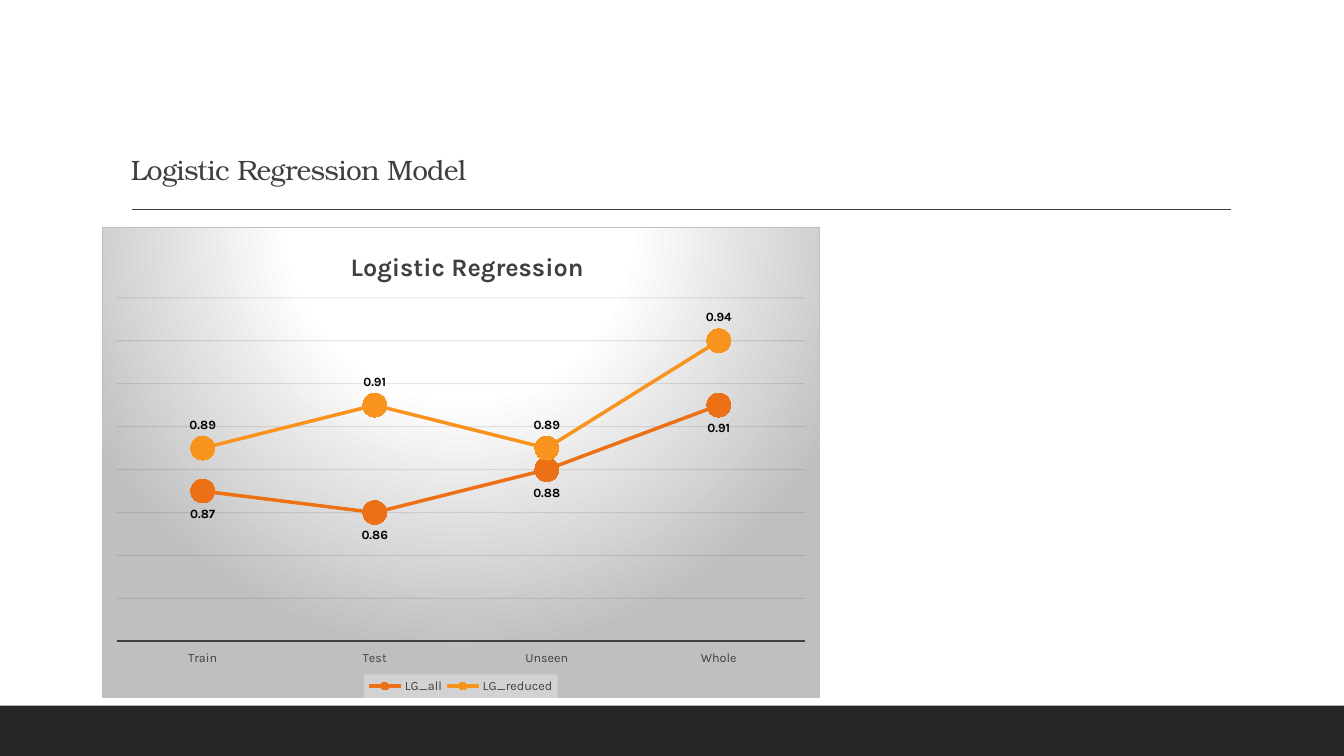
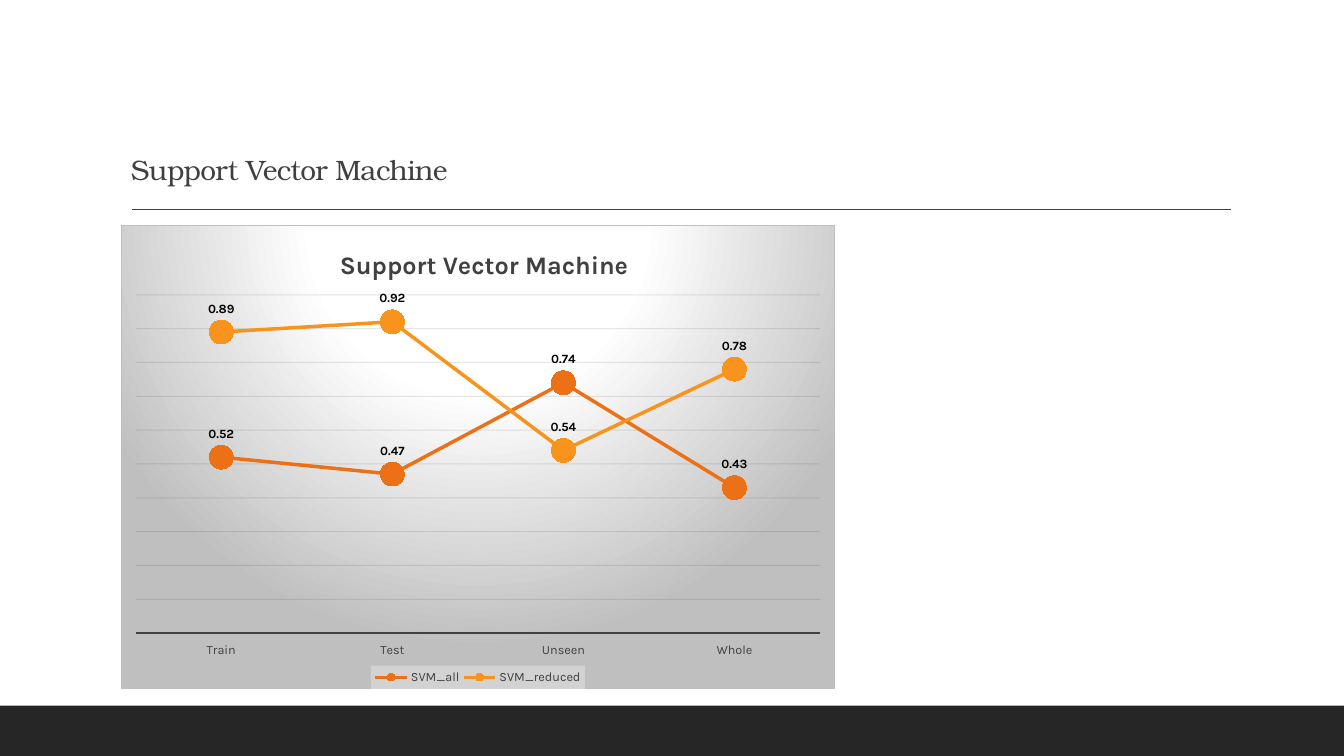
"""Build two slides that compare model scores in line charts."""

from dataclasses import dataclass

from lxml.etree import SubElement
from pptx import Presentation
from pptx.chart.chart import Chart
from pptx.chart.data import CategoryChartData
from pptx.dml.color import RGBColor
from pptx.enum.chart import (
    XL_CHART_TYPE,
    XL_LABEL_POSITION,
    XL_LEGEND_POSITION,
    XL_MARKER_STYLE,
    XL_TICK_LABEL_POSITION,
    XL_TICK_MARK,
)
from pptx.enum.shapes import MSO_CONNECTOR, MSO_SHAPE
from pptx.enum.text import MSO_ANCHOR
from pptx.oxml import parse_xml
from pptx.oxml.ns import nsdecls, qn
from pptx.oxml.xmlchemy import BaseOxmlElement
from pptx.slide import Slide
from pptx.text.text import Font
from pptx.util import Inches, Pt


@dataclass(frozen=True)
class Theme:
    """Colours, fonts and type sizes shared by the slides."""

    band: str = "262626"
    ink: str = "404040"
    label: str = "000000"
    grid: str = "0D0D0D"
    border: str = "BFBFBF"
    glow: str = "FFFFFF"
    legend: str = "F2F2F2"
    series: tuple[str, ...] = ("EC7016", "F8931D")
    heading_font: str = "TeX Gyre Bonum"
    chart_font: str = "Karla"
    heading_size: int = 20
    chart_title_size: int = 18
    chart_size: int = 10
    small_size: int = 9


@dataclass(frozen=True)
class ScoreSeries:
    """One line of scores and the side its labels sit on."""

    name: str
    scores: tuple[float, ...]
    label_position: XL_LABEL_POSITION = XL_LABEL_POSITION.ABOVE


@dataclass(frozen=True)
class Box:
    """A left, top, width and height."""

    left: float
    top: float
    width: float
    height: float


@dataclass(frozen=True)
class ModelSlide:
    """The content of one slide."""

    heading: str
    chart_title: str
    chart_box: Box
    scale: tuple[float, float, float]
    title_width: float
    legend_width: float
    series: tuple[ScoreSeries, ...]


THEME = Theme()
SLIDE_WIDTH, SLIDE_HEIGHT = 13.33, 7.5
STAGES = ("Train", "Test", "Unseen", "Whole")
PLOT_BOX = Box(0.02, 0.15, 0.96, 0.73)

MODEL_SLIDES = (
    ModelSlide(
        heading="Logistic Regression Model",
        chart_title="Logistic Regression",
        chart_box=Box(1.01, 2.25, 7.12, 4.68),
        scale=(0.8, 0.96, 0.02),
        title_width=0.32,
        legend_width=0.27,
        series=(
            ScoreSeries("LG_all", (0.87, 0.86, 0.88, 0.91), XL_LABEL_POSITION.BELOW),
            ScoreSeries("LG_reduced", (0.89, 0.91, 0.89, 0.94)),
        ),
    ),
    ModelSlide(
        heading="Support Vector Machine",
        chart_title="Support Vector Machine",
        chart_box=Box(1.2, 2.23, 7.08, 4.61),
        scale=(0, 1, 0.1),
        title_width=0.4,
        legend_width=0.3,
        series=(
            ScoreSeries("SVM_all", (0.52, 0.47, 0.74, 0.43)),
            ScoreSeries("SVM_reduced", (0.89, 0.92, 0.54, 0.78)),
        ),
    ),
)


def style_font(font: Font, name: str, size: int, color: str, bold: bool = False) -> None:
    """Set the face, size, colour and weight of a font."""
    font.name = name
    font.size = Pt(size)
    font.bold = bold
    font.color.rgb = RGBColor.from_string(color)


def add_frame(slide: Slide, heading: str) -> None:
    """Draw the footer band, the rule and the heading."""
    band = slide.shapes.add_shape(
        MSO_SHAPE.RECTANGLE, 0, Inches(7), Inches(SLIDE_WIDTH), Inches(0.5)
    )
    band.shadow.inherit = False
    band.fill.solid()
    band.fill.fore_color.rgb = RGBColor.from_string(THEME.band)
    band.line.fill.background()

    rule = slide.shapes.add_connector(
        MSO_CONNECTOR.STRAIGHT, Inches(1.31), Inches(2.08), Inches(12.21), Inches(2.08)
    )
    rule.line.color.rgb = RGBColor.from_string(THEME.ink)
    rule.line.width = Pt(1)
    SubElement(rule.element.find(qn("p:spPr")), qn("a:effectLst"))

    text_box = slide.shapes.add_textbox(Inches(1.2), Inches(0.31), Inches(11), Inches(1.59))
    text_frame = text_box.text_frame
    text_frame.word_wrap = True
    text_frame.vertical_anchor = MSO_ANCHOR.BOTTOM
    paragraph = text_frame.paragraphs[0]
    paragraph.line_spacing = 0.9
    run = paragraph.add_run()
    run.text = heading
    style_font(run.font, THEME.heading_font, THEME.heading_size, THEME.ink)
    run.font._element.set("spc", "-50")


def set_layout(parent: BaseOxmlElement, box: Box, inner: bool = False) -> None:
    """Place a chart part at fractions of the chart area."""
    for existing in parent.findall(qn("c:layout")):
        parent.remove(existing)
    target = '<c:layoutTarget val="inner"/>' if inner else ""
    layout = parse_xml(
        f'<c:layout {nsdecls("c")}><c:manualLayout>{target}'
        '<c:xMode val="edge"/><c:yMode val="edge"/>'
        f'<c:x val="{box.left:.3f}"/><c:y val="{box.top}"/>'
        f'<c:w val="{box.width}"/><c:h val="{box.height}"/>'
        "</c:manualLayout></c:layout>"
    )
    overlay = parent.find(qn("c:overlay"))
    if overlay is None:
        parent.insert(0, layout)
    else:
        overlay.addprevious(layout)


def centered_box(width: float, top: float, height: float) -> Box:
    """Return a box centred across the chart area."""
    return Box((1 - width) / 2, top, width, height)


def fill_chart_area(chart: Chart) -> None:
    """Give the chart area its radial gradient and border."""
    stops = "".join(
        f'<a:gs pos="{position * 1000}"><a:srgbClr val="{color}"/></a:gs>'
        for position, color in ((0, THEME.glow), (39, THEME.glow), (100, THEME.border))
    )
    properties = parse_xml(
        f'<c:spPr {nsdecls("c", "a")}><a:gradFill><a:gsLst>{stops}</a:gsLst>'
        '<a:path path="circle"><a:fillToRect l="50000" t="-80000" r="50000" b="180000"/></a:path>'
        f'</a:gradFill><a:ln w="{Pt(0.75)}"><a:solidFill><a:srgbClr val="{THEME.border}"/>'
        "</a:solidFill></a:ln></c:spPr>"
    )
    chart.element.find(qn("c:chart")).addnext(properties)


def style_axes(chart: Chart, scale: tuple[float, float, float]) -> None:
    """Style the category axis and the hidden value axis with its grid."""
    category_axis = chart.category_axis
    category_axis.major_tick_mark = XL_TICK_MARK.NONE
    category_axis.minor_tick_mark = XL_TICK_MARK.NONE
    category_axis.tick_label_position = XL_TICK_LABEL_POSITION.LOW
    category_axis.format.line.color.rgb = RGBColor.from_string(THEME.ink)
    category_axis.format.line.width = Pt(1.5)
    style_font(category_axis.tick_labels.font, THEME.chart_font, THEME.small_size, THEME.ink)

    value_axis = chart.value_axis
    value_axis.minimum_scale, value_axis.maximum_scale, value_axis.major_unit = scale
    value_axis.visible = False
    value_axis.tick_labels.number_format = "0.00"
    value_axis.tick_labels.number_format_is_linked = False
    grid_line = value_axis.major_gridlines.format.line
    grid_line.color.rgb = RGBColor.from_string(THEME.grid)
    grid_line.width = Pt(0.75)
    grid_color = chart.element.xpath(".//c:majorGridlines//a:srgbClr")[0]
    SubElement(grid_color, qn("a:alpha")).set("val", "10000")


def style_series(chart: Chart, score_series: tuple[ScoreSeries, ...]) -> None:
    """Colour the lines and markers and label each point."""
    plot = chart.plots[0]
    plot.vary_by_categories = False
    for series, content, hex_color in zip(plot.series, score_series, THEME.series):
        color = RGBColor.from_string(hex_color)
        series.smooth = False
        series.format.line.color.rgb = color
        series.format.line.width = Pt(2.5)
        marker = series.marker
        marker.style = XL_MARKER_STYLE.CIRCLE
        marker.size = 17
        marker.format.fill.solid()
        marker.format.fill.fore_color.rgb = color
        marker.format.line.fill.background()
        labels = series.data_labels
        labels.show_value = True
        labels.number_format = "0.00"
        labels.number_format_is_linked = False
        labels.position = content.label_position
        style_font(labels.font, THEME.chart_font, THEME.small_size, THEME.label, bold=True)


def add_title_and_legend(chart: Chart, content: ModelSlide) -> None:
    """Add the chart title and the shaded legend, both centred."""
    run = chart.chart_title.text_frame.paragraphs[0].add_run()
    run.text = content.chart_title
    style_font(run.font, THEME.chart_font, THEME.chart_title_size, THEME.ink, bold=True)
    set_layout(chart.chart_title.element, centered_box(content.title_width, 0.04, 0.08))

    chart.has_legend = True
    legend = chart.legend
    legend.position = XL_LEGEND_POSITION.BOTTOM
    legend.include_in_layout = False
    style_font(legend.font, THEME.chart_font, THEME.small_size, THEME.ink)
    legend_element = chart.element.xpath(".//c:legend")[0]
    set_layout(legend_element, centered_box(content.legend_width, 0.95, 0.05))
    legend_element.find(qn("c:overlay")).addnext(
        parse_xml(
            f'<c:spPr {nsdecls("c", "a")}><a:solidFill><a:srgbClr val="{THEME.legend}">'
            '<a:alpha val="39000"/></a:srgbClr></a:solidFill></c:spPr>'
        )
    )


def add_score_chart(slide: Slide, content: ModelSlide) -> None:
    """Add the line chart of one model's scores."""
    chart_data = CategoryChartData(number_format="0.00")
    chart_data.categories = STAGES
    for series in content.series:
        chart_data.add_series(series.name, series.scores)
    box = content.chart_box
    chart = slide.shapes.add_chart(
        XL_CHART_TYPE.LINE_MARKERS,
        Inches(box.left),
        Inches(box.top),
        Inches(box.width),
        Inches(box.height),
        chart_data,
    ).chart
    style_font(chart.font, THEME.chart_font, THEME.chart_size, THEME.label)
    fill_chart_area(chart)
    style_axes(chart, content.scale)
    style_series(chart, content.series)
    add_title_and_legend(chart, content)
    set_layout(chart.element.xpath(".//c:plotArea")[0], PLOT_BOX, inner=True)


def main() -> None:
    """Build and save the presentation."""
    presentation = Presentation()
    presentation.slide_width = Inches(SLIDE_WIDTH)
    presentation.slide_height = Inches(SLIDE_HEIGHT)
    for content in MODEL_SLIDES:
        slide = presentation.slides.add_slide(presentation.slide_layouts[6])
        add_frame(slide, content.heading)
        add_score_chart(slide, content)
    presentation.save("out.pptx")


if __name__ == "__main__":
    main()
